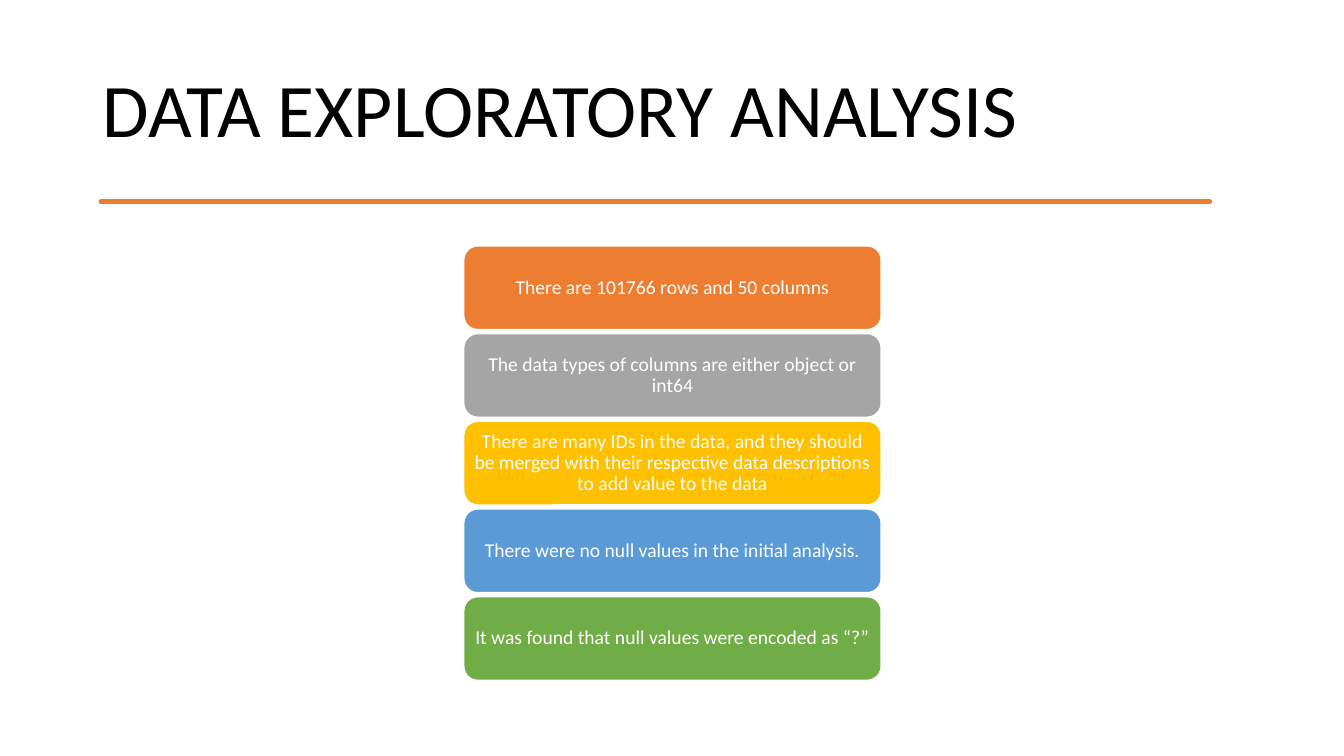
from dataclasses import dataclass

from pptx import Presentation
from pptx import util as u
from pptx.dml.color import RGBColor
from pptx.enum import shapes, text


@dataclass(frozen=True)
class Theme:
    font: str = "Calibri"
    title_size: float = 54
    card_size: float = 14
    ink: str = "000000"
    paper: str = "FFFFFF"
    accent: str = "ED7D31"


THEME = Theme()
WIDTH, HEIGHT = 13.33, 7.5
MARGIN = 0.92
CARD_LEFT, CARD_TOP, CARD_W, CARD_H, ROW_PITCH = 4.6, 2.44, 4.14, 0.83, 0.87
RULE_TOP, RULE_W, RULE_UNIT = 2.04, 11.4, 0.01
RULE_UPPER = [0, -1, -1, 0, 0, 0, 0, -1, 0, 0, 0, 0, 0, 0, -1, -1,
              -2, -1, 0, -1, 0, 0, 0, 0, 0, 0, 0, -1, -1, 0, 0]
RULE_LOWER = [2, 2, 3, 2, 2, 2, 2, 2, 4, 3, 2, 2, 2, 2, 2, 2,
              3, 2, 3, 2, 2, 4, 3, 2, 2, 3, 3, 4, 3, 2, 2]
CARDS = [
    ("There are 101766 rows and 50 columns", "ED7D31"),
    ("The data types of columns are either object or int64", "A5A5A5"),
    ("There are many IDs in the data, and they should be merged with their "
     "respective data descriptions to add value to the data", "FFC000"),
    ("There were no null values in the initial analysis.", "5B9BD5"),
    ("It was found that null values were encoded as “?”", "70AD47"),
]


def write(sp, words, *, size, color, align, inset=(0.1, 0.05)):
    """Put one formatted, vertically centred paragraph in a shape."""
    tf = sp.text_frame
    tf.word_wrap = True
    tf.auto_size = text.MSO_AUTO_SIZE.NONE
    tf.vertical_anchor = text.MSO_ANCHOR.MIDDLE
    tf.margin_left = tf.margin_right = u.Inches(inset[0])
    tf.margin_top = tf.margin_bottom = u.Inches(inset[1])
    p = tf.paragraphs[0]
    p.alignment, p.line_spacing = align, 0.9
    r = p.add_run()
    r.text = words
    r.font.name, r.font.size = THEME.font, u.Pt(size)
    r.font.color.rgb = RGBColor.from_string(color)


def paint(sp, fill, line, width):
    """Set a flat fill and outline."""
    sp.shadow.inherit = False
    sp.fill.solid()
    sp.fill.fore_color.rgb = RGBColor.from_string(fill)
    sp.line.color.rgb = RGBColor.from_string(line)
    sp.line.width = u.Pt(width)


def add_title(s, words):
    """Place and fill the title placeholder."""
    sp = s.shapes.title
    sp.left, sp.top, sp.width, sp.height = map(u.Inches, (MARGIN, 0.4, 11.5, 1.45))
    write(sp, words, size=THEME.title_size, color=THEME.ink, align=text.PP_ALIGN.LEFT)


def add_rule(s):
    """Draw the hand-drawn rule as a thin wavy outline."""
    step = RULE_W / (len(RULE_UPPER) - 1)

    def edge(offsets):
        """Turn offsets into evenly spaced points."""
        return [(MARGIN + i * step, RULE_TOP + d * RULE_UNIT) for i, d in enumerate(offsets)]

    points = edge(RULE_UPPER) + edge(RULE_LOWER)[::-1]
    fb = s.shapes.build_freeform(*points[0], scale=u.Inches(1))
    fb.add_line_segments(points[1:], close=True)
    paint(fb.convert_to_shape(), THEME.accent, THEME.accent, 3.25)


def add_card(s, row, words, color):
    """Add one rounded card in its row of the stack."""
    box = (CARD_LEFT, CARD_TOP + row * ROW_PITCH, CARD_W, CARD_H)
    sp = s.shapes.add_shape(shapes.MSO_SHAPE.ROUNDED_RECTANGLE, *map(u.Inches, box))
    paint(sp, color, THEME.paper, 1)
    write(sp, words, size=THEME.card_size, color=THEME.paper,
          align=text.PP_ALIGN.CENTER, inset=(0.06, 0.03))


def main():
    """Build and save the slide."""
    prs = Presentation()
    prs.slide_width, prs.slide_height = u.Inches(WIDTH), u.Inches(HEIGHT)
    s = prs.slides.add_slide(prs.slide_layouts[5])
    add_title(s, "DATA EXPLORATORY ANALYSIS")
    add_rule(s)
    for row, (words, color) in enumerate(CARDS):
        add_card(s, row, words, color)
    prs.save("out.pptx")


if __name__ == "__main__":
    main()
